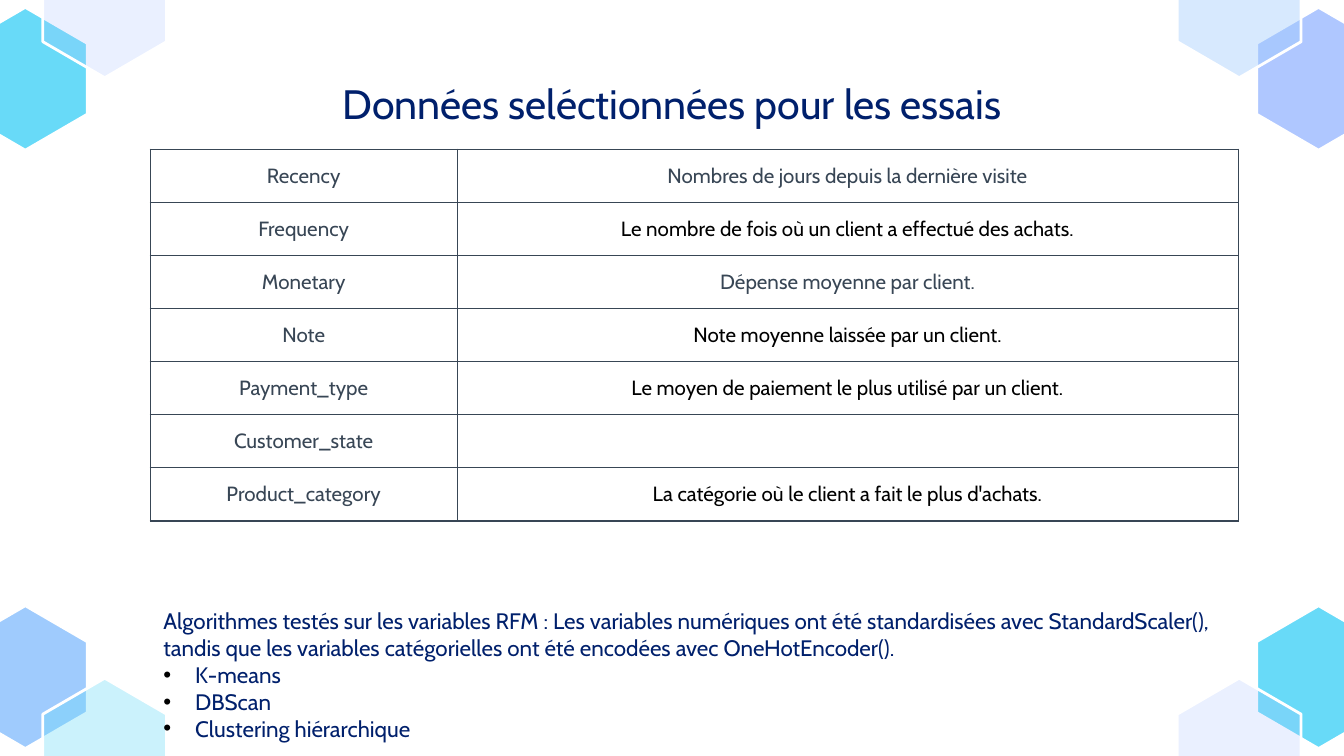
"""Build the slide listing the variables selected for the clustering trials."""
from lxml.etree import SubElement
from pptx import Presentation
from pptx.dml.color import RGBColor
from pptx.enum.text import MSO_ANCHOR as Anchor, PP_ALIGN as Align
from pptx.oxml import parse_xml
from pptx.oxml.ns import nsdecls, qn
from pptx.util import Cm, Pt

NAVY = RGBColor(0x00, 0x20, 0x6C)
SLATE = RGBColor(0x38, 0x46, 0x55)
BLACK = RGBColor(0x00, 0x00, 0x00)
WHITE = RGBColor(0xFF, 0xFF, 0xFF)
CYAN = RGBColor(0x68, 0xDA, 0xF8)
SKY = RGBColor(0x9F, 0xCB, 0xFD)
LAVENDER = RGBColor(0xAF, 0xC7, 0xFF)
FONT = "Cabin"
WIDTH, HEIGHT = 25.4, 14.29

TITLE = "Données seléctionnées pour les essais"
VARIABLES = [
    ("Recency", "Nombres de jours depuis la dernière visite", SLATE),
    ("Frequency", "Le nombre de fois où un client a effectué des achats.", BLACK),
    ("Monetary", "Dépense moyenne par client.", SLATE),
    ("Note", "Note moyenne laissée par un client.", BLACK),
    ("Payment_type", "Le moyen de paiement le plus utilisé par un client.", BLACK),
    ("Customer_state", "", BLACK),
    ("Product_category", "La catégorie où le client a fait le plus d'achats.", BLACK),
]
INTRO = (
    "Algorithmes testés sur les variables RFM : Les variables numériques ont été "
    "standardisées avec StandardScaler(), tandis que les variables catégorielles "
    "ont été encodées avec OneHotEncoder()."
)
ALGORITHMS = ["K-means", "DBScan", "Clustering hiérarchique"]
CORNERS = [
    (False, False, SKY, CYAN, 34),
    (True, False, CYAN, LAVENDER, 25),
    (False, True, CYAN, LAVENDER, 25),
    (True, True, LAVENDER, SKY, 41),
]
OUTER, INNER = (0.48, 12.8), (1.98, 14.17)
HEX = [(0, -1.35), (1.17, -0.67), (1.17, 0.67), (0, 1.35), (-1.17, 0.67), (-1.17, -0.67)]


def write(p, text, size=12, color=NAVY, align=Align.LEFT, bullet=None):
    p.alignment = align
    if bullet:
        pPr = p._p.get_or_add_pPr()
        pPr.set("marL", str(Cm(0.6)))
        pPr.set("indent", str(-Cm(0.6)))
        clr = SubElement(pPr, qn("a:buClr"))
        SubElement(clr, qn("a:srgbClr"), val=str(BLACK))
        SubElement(pPr, qn("a:buFont"), typeface="Arial")
        SubElement(pPr, qn("a:buChar"), char=bullet)
    r = p.add_run()
    r.text = text
    r.font.name, r.font.size, r.font.color.rgb = FONT, Pt(size), color


def add_hexagon(s, center, right, top, color, alpha=100):
    x = WIDTH - center[0] if right else center[0]
    y = HEIGHT - center[1] if top else center[1]
    points = [(Cm(x + dx), Cm(y + dy)) for dx, dy in HEX]
    builder = s.shapes.build_freeform(*points[0])
    builder.add_line_segments(points[1:], close=True)
    sp = builder.convert_to_shape()
    sp.shadow.inherit = False
    sp.fill.solid()
    sp.fill.fore_color.rgb = color
    if alpha < 100:
        clr = sp._element.spPr.find(".//" + qn("a:srgbClr"))
        SubElement(clr, qn("a:alpha"), val=str(alpha * 1000))
    sp.line.color.rgb = WHITE
    sp.line.width = Pt(1.5)


def add_text_box(s, left, top, width, height):
    tf = s.shapes.add_textbox(Cm(left), Cm(top), Cm(width), Cm(height)).text_frame
    tf.word_wrap = True
    return tf


def add_borders(cell):
    tcPr = cell._tc.get_or_add_tcPr()
    for i, side in enumerate("LRTB"):
        tcPr.insert(i, parse_xml(
            f'<a:ln{side} {nsdecls("a")} w="{Pt(0.75)}"><a:solidFill>'
            f'<a:srgbClr val="{SLATE}"/></a:solidFill></a:ln{side}>'))


def add_variables(s):
    frame = s.shapes.add_table(len(VARIABLES), 2, Cm(2.84), Cm(2.82), Cm(20.56), Cm(7.03))
    table = frame.table
    table.first_row = table.horz_banding = False
    table.columns[0].width, table.columns[1].width = Cm(5.8), Cm(14.76)
    for i, (name, meaning, color) in enumerate(VARIABLES):
        for j, (text, shade) in enumerate([(name, SLATE), (meaning, color)]):
            cell = table.cell(i, j)
            cell.fill.background()
            add_borders(cell)
            cell.vertical_anchor = Anchor.MIDDLE
            cell.margin_top = cell.margin_bottom = 0
            if text:
                write(cell.text_frame.paragraphs[0], text, size=11, color=shade,
                      align=Align.CENTER)


def main():
    prs = Presentation()
    prs.slide_width, prs.slide_height = Cm(WIDTH), Cm(HEIGHT)
    s = prs.slides.add_slide(prs.slide_layouts[6])
    for right, top, outer, inner, alpha in CORNERS:
        add_hexagon(s, OUTER, right, top, outer)
        add_hexagon(s, INNER, right, top, inner, alpha)

    tf = add_text_box(s, 2, 1.24, 21.4, 1.6)
    tf.margin_top = tf.margin_bottom = Cm(0.25)
    write(tf.paragraphs[0], TITLE, size=22, align=Align.CENTER)

    add_variables(s)

    tf = add_text_box(s, 2.84, 10.67, 20.56, 3.5)
    tf.margin_top = Cm(0.81)
    write(tf.paragraphs[0], INTRO)
    for name in ALGORITHMS:
        write(tf.add_paragraph(), name, bullet="•")
    prs.save("out.pptx")


if __name__ == "__main__":
    main()
